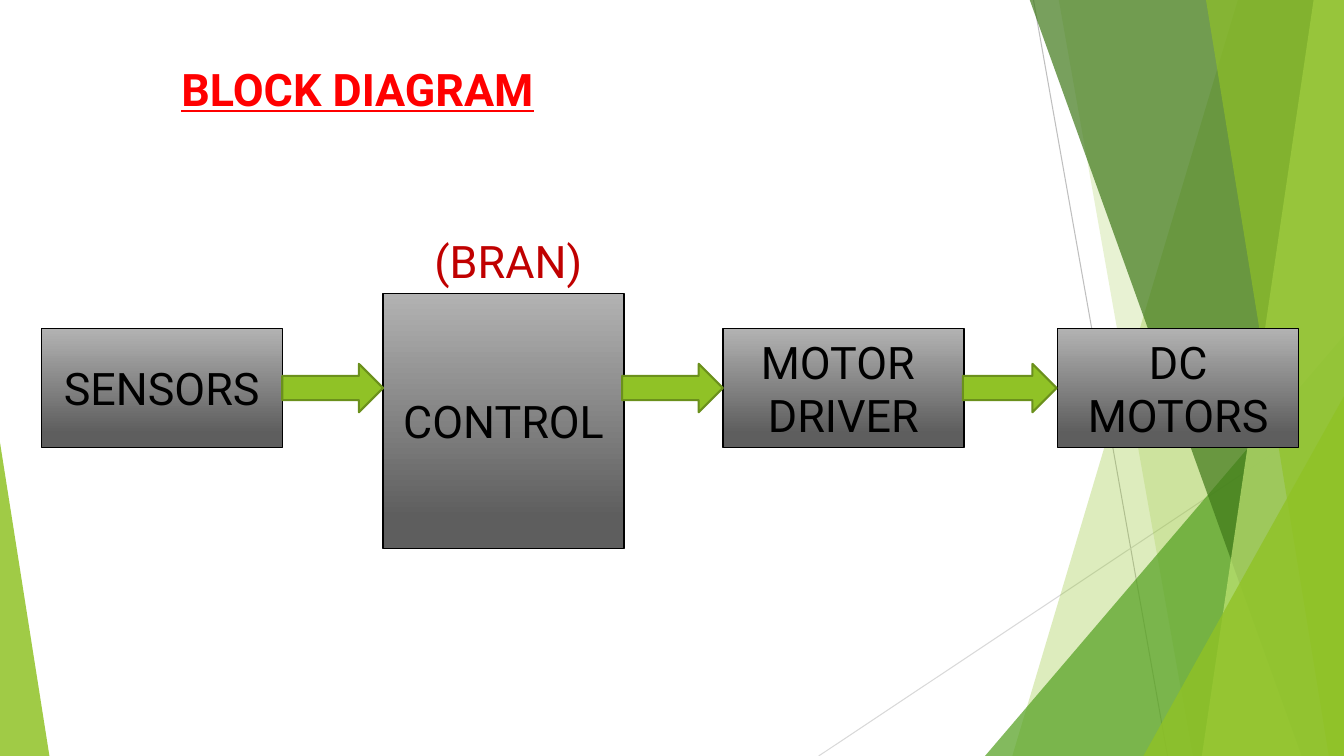
from pptx import Presentation
from pptx.util import Inches, Pt
from pptx.dml.color import RGBColor as RGB
from pptx.enum.shapes import MSO_CONNECTOR as Conn, MSO_SHAPE as Kind
from pptx.enum.text import MSO_ANCHOR as Anchor, PP_ALIGN as Align
from pptx.oxml.ns import qn
from lxml.etree import SubElement

hues = {
    "lime": "90C226", "green": "54A021", "dark": "3F7819", "pale": "C0E474",
    "edge": "6B901C", "gray": "BFBFBF", "mist": "D9D9D9", "light": "B2B2B2",
    "deep": "5E5E5E", "black": "000000", "red": "FF0000", "wine": "C00000",
}


def paint(shape, hue, alpha=100):
    shape.shadow.inherit = False
    shape.fill.solid()
    shape.fill.fore_color.rgb = RGB.from_string(hues[hue])
    if alpha < 100:
        shape.line.fill.background()
        tint = shape.fill._xPr.find(qn("a:solidFill"))[0]
        SubElement(tint, qn("a:alpha")).set("val", str(alpha * 1000))


def write(frame, lines, hue, align, bold=False):
    frame.word_wrap = True
    for i, line in enumerate(lines):
        para = frame.paragraphs[0] if i == 0 else frame.add_paragraph()
        para.alignment = align
        run = para.add_run()
        run.text = line
        run.font.name = "Roboto"
        run.font.size = Pt(32)
        run.font.color.rgb = RGB.from_string(hues[hue])
        if bold:
            run.font.bold = True
            run.font.underline = True


deck = Presentation()
deck.slide_width = Inches(13.33)
deck.slide_height = Inches(7.5)
slide = deck.slides.add_slide(deck.slide_layouts[6])
shapes = slide.shapes

for x1, y1, x2, y2, hue in [
    (10.25, 0, 11.58, 7.5, "gray"),
    (13.33, 4.03, 8.12, 7.5, "mist"),
]:
    line = shapes.add_connector(
        Conn.STRAIGHT, Inches(x1), Inches(y1), Inches(x2), Inches(y2))
    line.line.color.rgb = RGB.from_string(hues[hue])
    line.line.width = Pt(0.75)
    SubElement(line._element.spPr, qn("a:effectLst"))

right, top, base = 13.33, -0.01, 7.5
facets = [
    ("band", 12.28, 10.04, "lime", 30),
    ("band", 10.5, 11.83, "lime", 20),
    ("wedge", 9.77, 3.33, "green", 72),
    ("band", 10.21, 12.91, "dark", 70),
    ("band", 13.03, 11.92, "pale", 70),
    ("band", 11.96, 13.18, "lime", 65),
    ("wedge", 11.34, 3.93, "lime", 80),
]
for kind, a, b, hue, alpha in facets:
    if kind == "band":
        path = shapes.build_freeform(Inches(a), Inches(top))
        path.add_line_segments([
            (Inches(x), Inches(y))
            for x, y in [(right, top), (right, base), (b, base)]])
        facet = path.convert_to_shape()
    else:
        facet = shapes.add_shape(
            Kind.ISOSCELES_TRIANGLE, Inches(a), Inches(b),
            Inches(right - a), Inches(base - b))
        facet.adjustments[0] = 1
    paint(facet, hue, alpha)

corner = shapes.add_shape(
    Kind.ISOSCELES_TRIANGLE, Inches(0), Inches(4.39), Inches(0.49), Inches(3.11))
corner.adjustments[0] = 0
paint(corner, "lime", 85)

for x, y, high, lines in [
    (0.41, 3.26, 1.18, ["SENSORS"]),
    (3.8, 2.91, 2.53, ["CONTROL"]),
    (7.17, 3.26, 1.18, ["MOTOR ", "DRIVER"]),
    (10.49, 3.26, 1.18, ["DC MOTORS"]),
]:
    block = shapes.add_shape(
        Kind.RECTANGLE, Inches(x), Inches(y), Inches(2.39), Inches(high))
    block.shadow.inherit = False
    block.fill.gradient()
    block.fill.gradient_angle = 270
    for stop, hue, place in zip(
            block.fill.gradient_stops, ["light", "deep"], [0, 0.88]):
        stop.color.rgb = RGB.from_string(hues[hue])
        stop.position = place
    block.line.color.rgb = RGB.from_string(hues["black"])
    block.line.width = Pt(1)
    block.text_frame.vertical_anchor = Anchor.MIDDLE
    write(block.text_frame, lines, "black", Align.CENTER)

for x, wide in [(2.8, 1), (6.17, 1), (9.55, 0.93)]:
    arrow = shapes.add_shape(
        Kind.RIGHT_ARROW, Inches(x), Inches(3.61), Inches(wide), Inches(0.48))
    paint(arrow, "lime")
    arrow.line.color.rgb = RGB.from_string(hues["edge"])
    arrow.line.width = Pt(1.5)

for x, y, wide, words, hue, bold in [
    (1.7, 0.56, 5.47, "BLOCK DIAGRAM", "red", True),
    (4.21, 2.27, 1.68, "(BRAN)", "wine", False),
]:
    label = shapes.add_textbox(Inches(x), Inches(y), Inches(wide), Inches(0.64))
    write(label.text_frame, [words], hue, Align.LEFT, bold)

deck.save("out.pptx")
